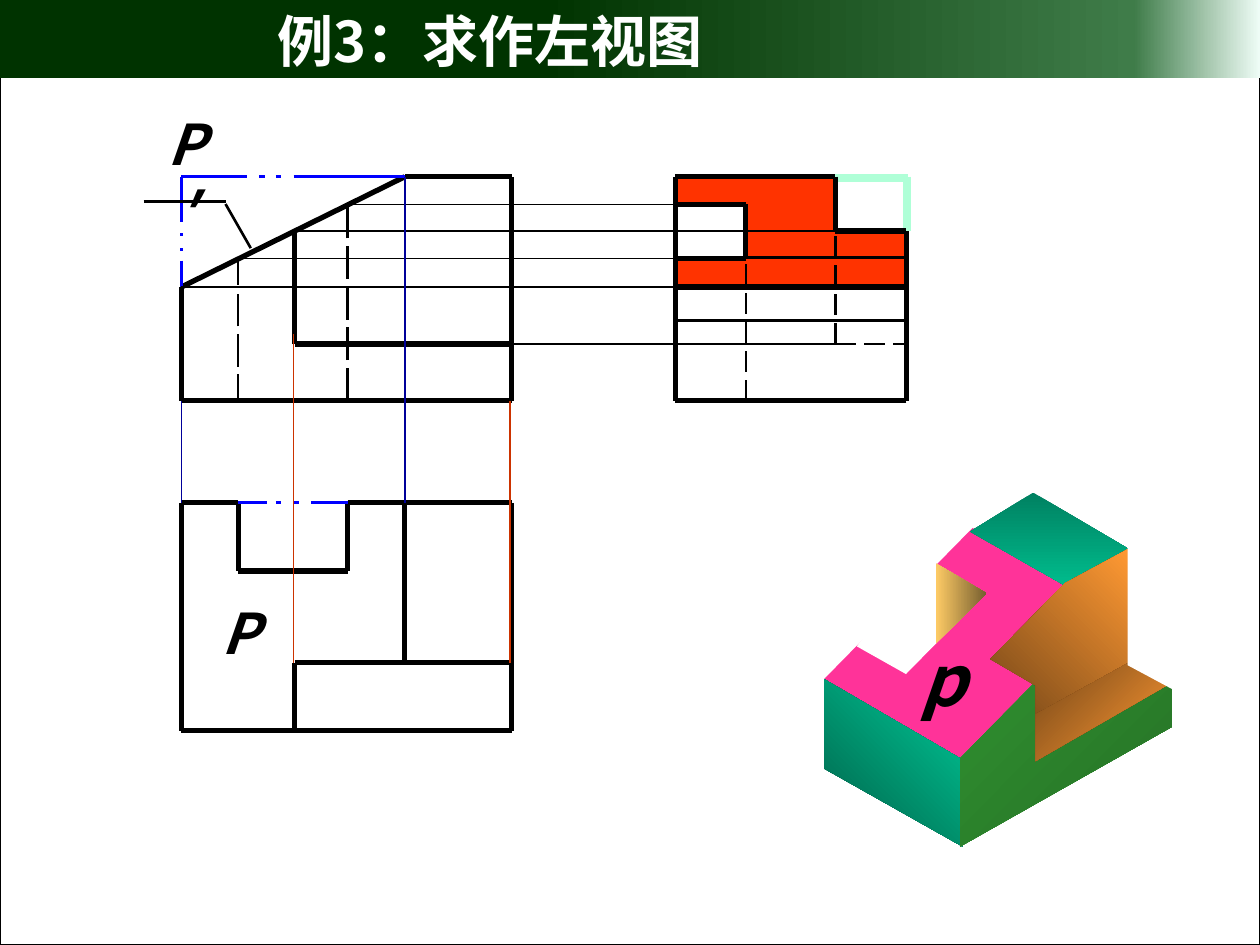
from lxml import etree
from pptx import Presentation
from pptx.dml.color import RGBColor
from pptx.enum import dml, shapes, text
from pptx.oxml.ns import qn
from pptx.util import Pt

FONT = "Noto Sans CJK SC"
BLACK = RGBColor(0x00, 0x00, 0x00)
WHITE = RGBColor(0xFF, 0xFF, 0xFF)
RED = RGBColor(0xFF, 0x33, 0x00)
PINK = RGBColor(0xFF, 0x33, 0x99)
MINT = RGBColor(0xAF, 0xFF, 0xD7)
BLUE = RGBColor(0x00, 0x00, 0xFF)
NAVY = RGBColor(0x00, 0x00, 0x99)
RUST = RGBColor(0xCC, 0x33, 0x00)
FOREST = RGBColor(0x00, 0x33, 0x00)
MOSS = RGBColor(0x3F, 0x7C, 0x49)
PALE_GREEN = RGBColor(0xEE, 0xFC, 0xF6)
DARK_TEAL = RGBColor(0x00, 0x81, 0x61)
DEEP_TEAL = RGBColor(0x00, 0x5E, 0x47)
TEAL = RGBColor(0x00, 0xCC, 0x99)
GREEN = RGBColor(0x33, 0x99, 0x33)
DARK_GREEN = RGBColor(0x25, 0x6F, 0x25)
SAND = RGBColor(0xFF, 0xCC, 0x66)
OLIVE = RGBColor(0x76, 0x5E, 0x2F)
BROWN = RGBColor(0x76, 0x47, 0x18)
ORANGE = RGBColor(0xFF, 0x99, 0x33)

# Drawing grid, in points: front and top view share x, front and side view share y
LEFT, SLOT_LEFT, STEP, SLOT_RIGHT, RIDGE, RIGHT = 103.7, 136.1, 168.4, 198.7, 231.3, 292.4
SIDE_LEFT, SIDE_SLOT, SIDE_STEP, SIDE_RIGHT = 385.9, 426.2, 477.4, 517.9
TOP, SLOT_TOP, STEP_TOP, SLOT_BOTTOM, EAVE, SHELF, BASE = 101, 116.8, 132, 147.7, 164, 196.6, 229
PLAN_TOP, PLAN_SLOT, PLAN_STEP, PLAN_BASE = 287.3, 326.3, 378.7, 417.6

THICK, MEDIUM, THIN = 3, 1.5, 1


def set_gradient(shape, angle, stops):
    """Fill with (percent, colour) stops; angle runs clockwise."""
    shape.fill.gradient()
    shape.fill.gradient_angle = (360 - angle) % 360
    stop_list = shape.fill._fill._gradFill.find(qn("a:gsLst"))
    for stop in list(stop_list):
        stop_list.remove(stop)
    for percent, colour in stops:
        stop = etree.SubElement(stop_list, qn("a:gs"), pos=str(percent * 1000))
        etree.SubElement(stop, qn("a:srgbClr"), val=str(colour))


def add_rectangle(slide, left, top, width, height, line_width=None):
    shape = slide.shapes.add_shape(
        shapes.MSO_SHAPE.RECTANGLE, Pt(left), Pt(top), Pt(width), Pt(height))
    shape.shadow.inherit = False
    shape.fill.background()
    if line_width:
        shape.line.color.rgb = BLACK
        shape.line.width = Pt(line_width)
    else:
        shape.line.fill.background()
    return shape


def add_face(slide, points, fill):
    """Add an outline-free polygon; fill is a colour or (angle, from, to)."""
    (x, y), *others = [(Pt(x), Pt(y)) for x, y in points]
    builder = slide.shapes.build_freeform(x, y)
    builder.add_line_segments(others, close=True)
    shape = builder.convert_to_shape()
    shape.shadow.inherit = False
    shape.line.fill.background()
    if isinstance(fill, RGBColor):
        shape.fill.solid()
        shape.fill.fore_color.rgb = fill
    else:
        angle, start, end = fill
        set_gradient(shape, angle, [(0, start), (100, end)])


def add_lines(slide, lines, width, colour=BLACK, dashed=False):
    for x1, y1, x2, y2 in lines:
        line = slide.shapes.add_connector(
            shapes.MSO_CONNECTOR.STRAIGHT, Pt(x1), Pt(y1), Pt(x2), Pt(y2))
        line.line.color.rgb = colour
        line.line.width = Pt(width)
        if dashed:
            line.line.dash_style = dml.MSO_LINE.LONG_DASH
        etree.SubElement(line._element.spPr, qn("a:effectLst"))


def add_run(paragraph, content, size, colour, italic):
    run = paragraph.add_run()
    run.text = content
    run.font.size = Pt(size)
    run.font.name = FONT
    run.font.bold = True
    run.font.italic = italic
    run.font.color.rgb = colour
    etree.SubElement(run.font._element, qn("a:ea"), typeface=FONT)


def add_label(slide, content, left, top, width, height, size, wrap=False):
    frame = slide.shapes.add_textbox(Pt(left), Pt(top), Pt(width), Pt(height)).text_frame
    frame.word_wrap = wrap
    frame.vertical_anchor = text.MSO_ANCHOR.MIDDLE
    frame.paragraphs[0].alignment = text.PP_ALIGN.CENTER
    add_run(frame.paragraphs[0], content, size, BLACK, True)


def add_title(slide, content):
    title = slide.shapes.title
    title.left, title.top, title.width, title.height = Pt(151.2), Pt(0), Pt(300), Pt(45.4)
    title.text_frame.vertical_anchor = text.MSO_ANCHOR.MIDDLE
    title.text_frame.auto_size = text.MSO_AUTO_SIZE.NONE
    paragraph = title.text_frame.paragraphs[0]
    paragraph.alignment = text.PP_ALIGN.LEFT
    add_run(paragraph, content, 32, WHITE, False)
    slide.shapes._spTree.append(title._element)  # in front of the banner


def draw_side_view_surface(slide):
    add_face(slide, [
        (SIDE_LEFT, TOP), (SIDE_STEP, TOP), (SIDE_STEP, STEP_TOP), (SIDE_RIGHT, STEP_TOP),
        (SIDE_RIGHT, EAVE), (SIDE_LEFT, EAVE), (SIDE_LEFT, SLOT_BOTTOM),
        (SIDE_SLOT, SLOT_BOTTOM), (SIDE_SLOT, SLOT_TOP), (SIDE_LEFT, SLOT_TOP)], RED)
    add_rectangle(slide, SIDE_LEFT, SLOT_BOTTOM - 0.4, SIDE_RIGHT - SIDE_LEFT, 36, MEDIUM)
    add_lines(slide, [(SIDE_SLOT, BASE, SIDE_SLOT, SLOT_BOTTOM),
                      (SIDE_STEP, SHELF, SIDE_STEP, TOP),
                      (SIDE_STEP, SHELF, SIDE_RIGHT, SHELF)], MEDIUM, dashed=True)


def draw_front_view(slide):
    add_lines(slide, [
        (STEP, SHELF, RIGHT, SHELF), (LEFT, BASE, RIGHT, BASE), (RIDGE, TOP, LEFT, EAVE),
        (STEP, SHELF, STEP, STEP_TOP), (LEFT, BASE, LEFT, EAVE),
        (RIGHT, BASE, RIGHT, TOP), (RIGHT, TOP, RIDGE, TOP)], THICK)
    right_dashes = [(BASE - 23.2 * i, BASE - 23.2 * i - 18.7) for i in range(5)]
    left_dashes = [(BASE, 213.8), (209.5, 190.8), (186.5, 167.8), (162.7, SLOT_BOTTOM)]
    for x, dashes in ((SLOT_RIGHT, right_dashes), (SLOT_LEFT, left_dashes)):
        add_lines(slide, [(x, start, x, end) for start, end in dashes], MEDIUM)


def draw_top_view(slide):
    add_lines(slide, [
        (LEFT, PLAN_TOP, SLOT_LEFT, PLAN_TOP), (SLOT_RIGHT, PLAN_TOP, RIGHT, PLAN_TOP),
        (STEP, PLAN_STEP, RIGHT, PLAN_STEP), (LEFT, PLAN_BASE, RIGHT, PLAN_BASE),
        (STEP, PLAN_STEP, STEP, PLAN_BASE), (LEFT, PLAN_TOP, LEFT, PLAN_BASE),
        (SLOT_RIGHT, PLAN_TOP, SLOT_RIGHT, PLAN_SLOT),
        (SLOT_LEFT, PLAN_TOP, SLOT_LEFT, PLAN_SLOT),
        (SLOT_LEFT, PLAN_SLOT, SLOT_RIGHT, PLAN_SLOT),
        (RIGHT, PLAN_TOP, RIGHT, PLAN_BASE), (RIDGE, PLAN_TOP, RIDGE, PLAN_STEP)], THICK)


def draw_removed_outline(slide):
    """Dash-dot lines along the edges that were cut away."""
    rows = [(TOP, [(LEFT, 141.1), (148.3, 151.2), (157.7, 160.6), (167.8, RIDGE)]),
            (PLAN_TOP, [(SLOT_LEFT, 152.6), (157.7, 160.6), (167.8, 170.6), (177.8, SLOT_RIGHT)])]
    for y, dashes in rows:
        add_lines(slide, [(start, y, end, y) for start, end in dashes], MEDIUM, BLUE)
    upright = [(TOP, 126.7), (133.2, 134.6), (141.8, 143.3), (149, EAVE)]
    add_lines(slide, [(LEFT, start, LEFT, end) for start, end in upright], MEDIUM, BLUE)


def draw_solid(slide):
    faces = [
        ([(555.8, 301.7), (635.8, 347.8), (548.6, 434.9), (470.9, 388.1)], PINK),
        ([(554.4, 303.8), (590.4, 281.5), (669.6, 328.3), (634.3, 349.2)], (90, DARK_TEAL, TEAL)),
        ([(470.9, 388.1), (470.9, 439.2), (550.1, 483.8), (550.1, 434.2)], (315, DEEP_TEAL, TEAL)),
        ([(632.9, 347.8), (669.6, 328.3), (669.6, 415.4), (548.6, 483.8), (548.6, 433.4)],
         (45, GREEN, DARK_GREEN)),
        ([(529.2, 318.2), (560.9, 341.3), (517.7, 385.2), (489.6, 369.4)], WHITE),
        ([(534.6, 321.8), (534.6, 367.9), (563.8, 339.1)], (0, SAND, OLIVE)),
        ([(644.4, 313.9), (644.4, 379.4), (591.8, 408.2), (591.8, 391.7), (565.9, 376.6),
          (608.4, 333.4)], (315, BROWN, ORANGE)),
        ([(591.8, 408.2), (591.8, 434.9), (666.7, 391.7), (645.1, 378.7)], (45, BROWN, ORANGE)),
        ([(644.4, 312.5), (644.4, 380.2), (673.9, 396), (673.9, 320.4), (658.8, 311.8)], WHITE)]
    for points, fill in faces:
        add_face(slide, points, fill)


def draw_labels(slide):
    add_label(slide, "p", 519.1, 360, 34.6, 55.4, 40)
    add_label(slide, "P", 119.5, 338.4, 30.2, 45.4, 32)
    add_label(slide, "P′", 87.1, 78.5, 38.2, 45.4, 32, wrap=True)
    add_lines(slide, [(128.9, 116.6, 143.3, 141.8), (82.1, 115.2, 128.9, 115.2)], MEDIUM)


def draw_projection_lines(slide):
    rows = [(SLOT_RIGHT, SIDE_LEFT, SLOT_TOP), (SLOT_LEFT, SIDE_LEFT, SLOT_BOTTOM),
            (STEP, 481, STEP_TOP), (RIGHT, 481, SHELF), (LEFT, SIDE_LEFT, EAVE)]
    add_lines(slide, [(start, y, end, y) for start, end, y in rows], THIN)


def draw_side_view_outline(slide):
    add_lines(slide, [(SIDE_STEP, TOP + 0.5, SIDE_RIGHT + 1, TOP + 0.5),
                      (SIDE_RIGHT + 0.5, TOP, SIDE_RIGHT + 0.5, STEP_TOP)], 4.5, MINT)
    add_lines(slide, [
        (SIDE_LEFT, TOP, SIDE_STEP, TOP), (SIDE_STEP, TOP, SIDE_STEP, STEP_TOP),
        (SIDE_STEP, STEP_TOP, SIDE_RIGHT, STEP_TOP), (SIDE_RIGHT, STEP_TOP, SIDE_RIGHT, BASE),
        (SIDE_RIGHT, BASE, SIDE_LEFT, BASE), (SIDE_LEFT, BASE, SIDE_LEFT, TOP),
        (SIDE_LEFT, SLOT_TOP, SIDE_SLOT, SLOT_TOP),
        (SIDE_SLOT, SLOT_TOP, SIDE_SLOT, SLOT_BOTTOM),
        (SIDE_SLOT, SLOT_BOTTOM, SIDE_LEFT, SLOT_BOTTOM),
        (SIDE_LEFT, EAVE, SIDE_RIGHT, EAVE)], THICK)


def main():
    presentation = Presentation()
    presentation.slide_width, presentation.slide_height = Pt(720), Pt(540)
    slide = presentation.slides.add_slide(presentation.slide_layouts[5])
    add_rectangle(slide, 0, 0, 720, 540, 0.75)
    banner = add_rectangle(slide, 0, -1.4, 720, 46)
    set_gradient(banner, 0, [(43, FOREST), (90, MOSS), (100, PALE_GREEN)])
    draw_side_view_surface(slide)
    add_title(slide, "例3：求作左视图")
    draw_front_view(slide)
    draw_top_view(slide)
    draw_removed_outline(slide)
    draw_solid(slide)
    draw_labels(slide)
    draw_projection_lines(slide)
    draw_side_view_outline(slide)
    add_lines(slide, [(RIDGE, TOP, RIDGE, PLAN_TOP), (LEFT, BASE, LEFT, PLAN_TOP)], THIN, NAVY)
    add_lines(slide, [(167.8, 190.8, 167.8, PLAN_STEP), (291.6, BASE, 291.6, PLAN_STEP)], THIN, RUST)
    presentation.save("out.pptx")


if __name__ == "__main__":
    main()
